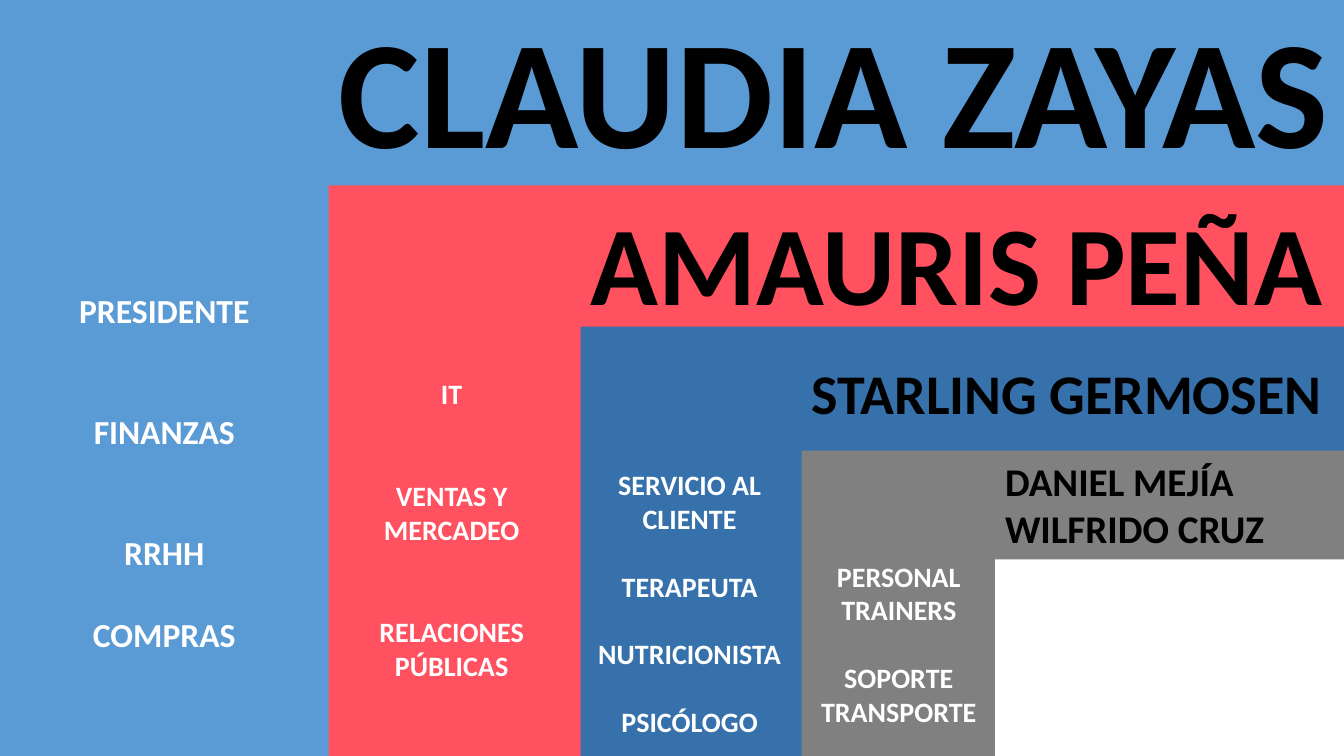
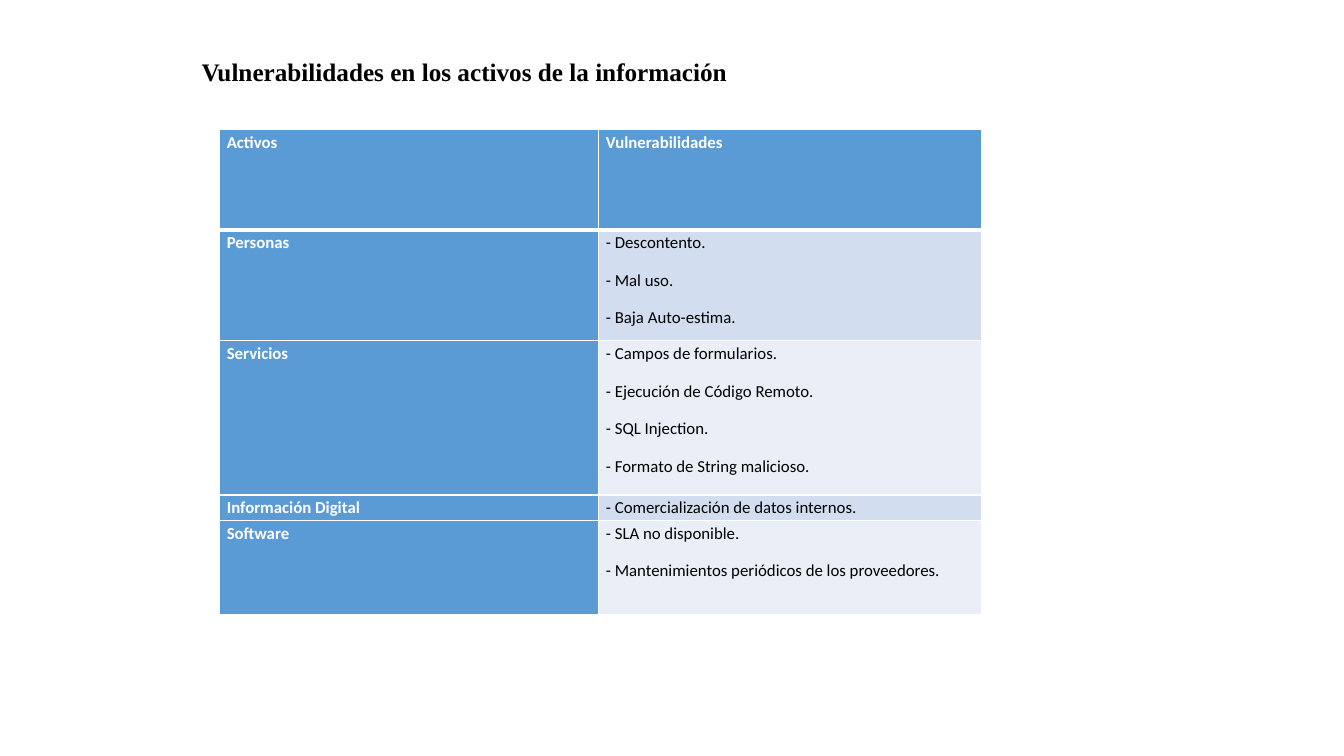
from lxml.etree import SubElement
from pptx import Presentation
from pptx.dml.color import RGBColor
from pptx.enum.shapes import MSO_SHAPE
from pptx.enum.text import MSO_AUTO_SIZE, PP_ALIGN
from pptx.oxml.ns import qn
from pptx.util import Inches, Pt

# Shared format
WIDTH, HEIGHT = 13.33, 7.5
BLACK = RGBColor(0x00, 0x00, 0x00)
WHITE = RGBColor(0xFF, 0xFF, 0xFF)
SKY = RGBColor(0x5B, 0x9B, 0xD5)
CORAL = RGBColor(0xFF, 0x51, 0x60)
BLUE = RGBColor(0x36, 0x71, 0xAB)
GRAY = RGBColor(0x80, 0x80, 0x80)
BAND_DARK = RGBColor(0xD2, 0xDE, 0xEF)
BAND_LIGHT = RGBColor(0xEA, 0xEF, 0xF7)
LINE_HEIGHT = 1.22  # Calibri line height per point of size


def write(frame, lines, size, color, bold=True, font="Calibri", **shared):
    """Fill a frame; each line is its text and its own paragraph formats."""
    frame.word_wrap = True
    for number, (text, own) in enumerate(lines):
        paragraph = frame.paragraphs[0] if number == 0 else frame.add_paragraph()
        for name, value in {**shared, **own}.items():
            setattr(paragraph, name, value)
        run = paragraph.add_run()
        run.text = text
        for name, value in {"name": font, "size": Pt(size), "bold": bold}.items():
            setattr(run.font, name, value)
        run.font.color.rgb = color


def add_text(slide, left, top, width, height, lines, size, color, **formats):
    box = slide.shapes.add_textbox(
        Inches(left), Inches(top), Inches(width), Inches(height))
    write(box.text_frame, lines, size, color, **formats)
    box.text_frame.auto_size = MSO_AUTO_SIZE.SHAPE_TO_FIT_TEXT
    return box


presentation = Presentation()
presentation.slide_width = Inches(WIDTH)
presentation.slide_height = Inches(HEIGHT)
blank = presentation.slide_layouts[6]

# Slide 1: nested levels, all reaching the bottom right corner
team = presentation.slides.add_slide(blank)
levels = [(0, 0, SKY), (3.26, 1.84, CORAL), (5.76, 3.24, BLUE),
          (7.95, 4.47, GRAY), (9.87, 5.55, WHITE)]
for left, top, color in levels:
    level = team.shapes.add_shape(
        MSO_SHAPE.RECTANGLE, Inches(left), Inches(top),
        Inches(WIDTH - left), Inches(HEIGHT - top))
    level.shadow.inherit = False
    level.fill.solid()
    level.fill.fore_color.rgb = color
    level.line.fill.background()

# People: left, top, height, size, names
people = [
    (3.26, -0.1, 1.95, 110, ["CLAUDIA ZAYAS"]),
    (5.76, 1.87, 1.45, 80, ["AMAURIS PEÑA"]),
    (7.95, 3.51, 0.77, 40, ["STARLING GERMOSEN"]),
    (9.87, 4.49, 1.04, 28, ["DANIEL MEJÍA", "WILFRIDO CRUZ"]),
]
for left, top, height, size, names in people:
    add_text(team, left, top, WIDTH - left, height,
             [(name, {}) for name in names], size, BLACK)

# Roles: left, top, width, height, size, line spacing, (role, lines of gap before)
roles = [
    (0, 2.03, 3.26, 4.54, 24, 3.0,
     [("PRESIDENTE", 0), ("FINANZAS", 0), ("RRHH", 0), ("COMPRAS", 1)]),
    (3.2, 3.69, 2.56, 3.13, 20, 1.0,
     [("IT", 0), ("VENTAS Y MERCADEO", 2), ("RELACIONES PÚBLICAS", 2)]),
    (5.73, 4.59, 2.22, 2.79, 20, 1.0,
     [("SERVICIO AL CLIENTE", 0), ("TERAPEUTA", 1), ("NUTRICIONISTA", 1),
      ("PSICÓLOGO", 1)]),
    (7.95, 5.5, 1.93, 1.78, 20, 1.0,
     [("PERSONAL", 0), ("TRAINERS", 0), ("SOPORTE", 1), ("TRANSPORTE", 0)]),
]
for left, top, width, height, size, spacing, column in roles:
    lines = [(role, {"space_before": Pt(gap * size * LINE_HEIGHT),
                     "line_spacing": 1.0 if gap else spacing})
             for role, gap in column]
    add_text(team, left, top, width, height, lines, size, WHITE,
             alignment=PP_ALIGN.CENTER)

# Slide 2: title
risks = presentation.slides.add_slide(blank)
body_spacing = {"line_spacing": 1.15, "space_after": Pt(10)}
title = add_text(risks, 1.65, 0.46, 10.24, 0.45,
                 [("Vulnerabilidades en los activos de la información", {})],
                 18, BLACK, font="Times New Roman", **body_spacing)
title.text_frame.margin_left = Inches(0.35)

# Table of assets: height, asset, vulnerabilities
assets = [
    (1, "Activos", ["Vulnerabilidades"]),
    (1.1, "Personas", ["- Descontento.", "- Mal uso.", "- Baja Auto-estima."]),
    (1.53, "Servicios",
     ["- Campos de formularios.", "- Ejecución de Código Remoto.",
      "- SQL Injection.", "- Formato de String malicioso."]),
    (0.25, "Información Digital", ["- Comercialización de datos internos."]),
    (0.94, "Software",
     ["- SLA no disponible.", "- Mantenimientos periódicos de los proveedores."]),
]
table = risks.shapes.add_table(
    len(assets), 2, Inches(2.18), Inches(1.28), Inches(7.56), Inches(4.82)).table
table.horz_banding = False
for column, width in zip(table.columns, (3.76, 3.8)):
    column.width = Inches(width)

cell_margins = {"margin_left": Inches(0.07), "margin_right": Inches(0.07),
                "margin_top": 0, "margin_bottom": 0}
for row, (height, asset, vulnerabilities) in enumerate(assets):
    table.rows[row].height = Inches(height)
    for col, texts in enumerate(([asset], vulnerabilities)):
        cell = table.cell(row, col)
        heading = row == 0 or col == 0
        for name, value in cell_margins.items():
            setattr(cell, name, value)
        write(cell.text_frame, [(text, {}) for text in texts], 12,
              WHITE if heading else BLACK, bold=heading,
              alignment=PP_ALIGN.JUSTIFY, **body_spacing)

        # White borders, thicker below the header; they precede the fill
        properties = cell._tc.get_or_add_tcPr()
        for side in ("L", "R", "T", "B"):
            thick = (row, side) in ((0, "B"), (1, "T"))
            border = SubElement(properties, qn(f"a:ln{side}"),
                                w=str(Pt(3 if thick else 1)))
            paint = SubElement(border, qn("a:solidFill"))
            SubElement(paint, qn("a:srgbClr"), val=str(WHITE))
        cell.fill.solid()
        cell.fill.fore_color.rgb = (
            SKY if heading else BAND_DARK if row % 2 else BAND_LIGHT)

presentation.save("out.pptx")
